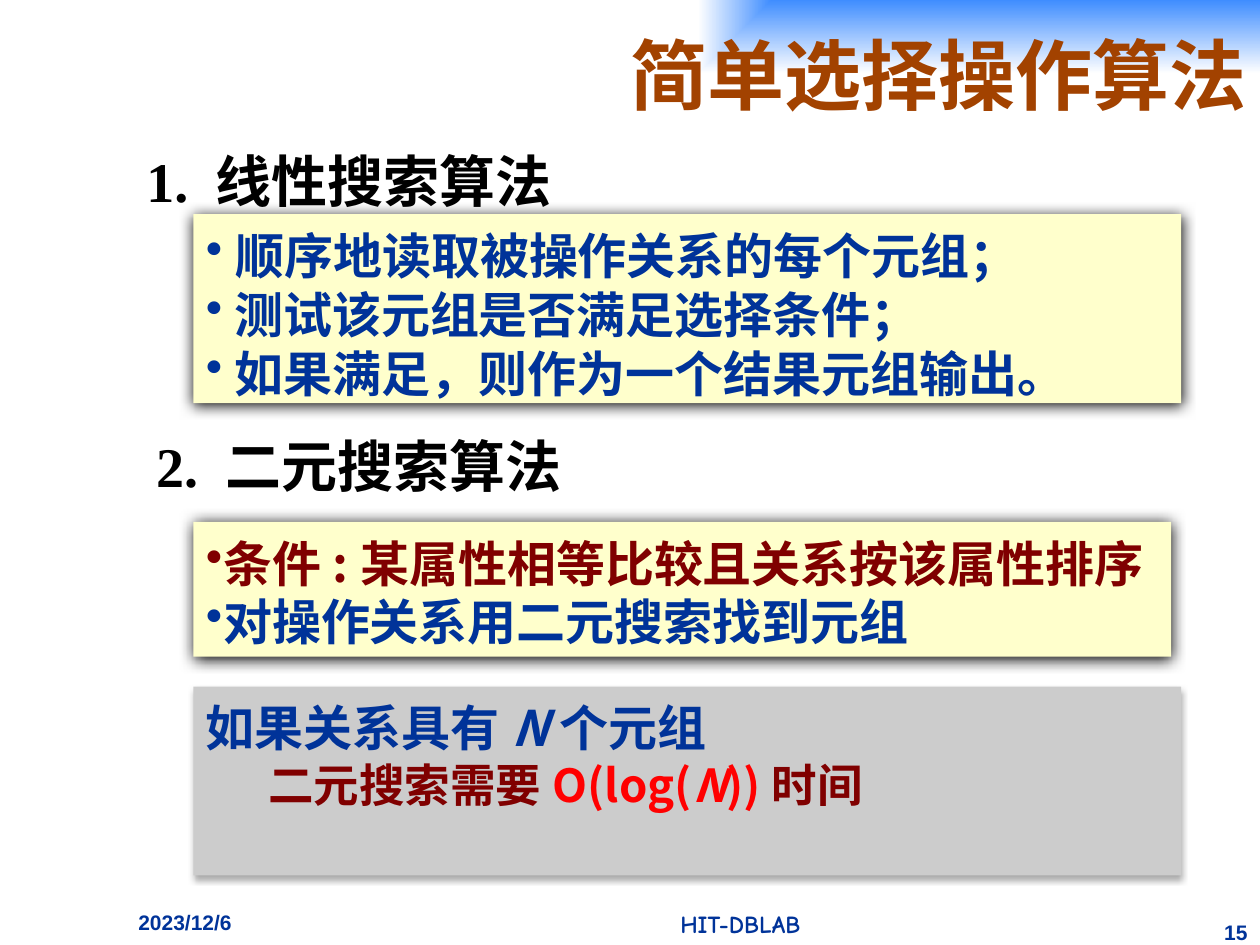
import pptx
import pptx.dml.color
import pptx.enum.shapes
import pptx.enum.text
import pptx.oxml
import pptx.oxml.ns
import pptx.util
from pptx.util import Cm

COLORS = {
    "sky": "3F8DFF", "white": "FFFFFF", "title": "A24200", "navy": "003399",
    "black": "000000", "cream": "FFFFCC", "gray": "CCCCCC",
    "maroon": "800000", "red": "FF0000",
}
CJK = "Noto Sans CJK JP"
SERIF = "Times New Roman"
ALIGN = pptx.enum.text.PP_ALIGN
LINE_FACTOR = 1.2


def rgb(name):
    """Return the named colour."""
    return pptx.dml.color.RGBColor.from_string(COLORS[name])


def drawing_xml(markup):
    """Parse one DrawingML element whose tag ends where %s stands."""
    return pptx.oxml.parse_xml(markup % pptx.oxml.ns.nsdecls("a"))


def add_run(paragraph, text, size, color, font=CJK, italic=False):
    """Add one bold run with the same Latin and East Asian font."""
    run = paragraph.add_run()
    run.text = text
    run.font.size = pptx.util.Pt(size)
    run.font.bold = True
    run.font.italic = italic
    run.font.color.rgb = rgb(color)
    run.font.name = font
    run._r.get_or_add_rPr().append(drawing_xml(f'<a:ea %s typeface="{font}"/>'))


def add_paragraph(frame, runs, size, margin=0, indent=0, bullet=False, align=ALIGN.LEFT):
    """Fill the first paragraph if it is empty, else a new one."""
    paragraph = frame.paragraphs[0]
    if paragraph.runs:
        paragraph = frame.add_paragraph()
    paragraph.alignment = align
    properties = paragraph._p.get_or_add_pPr()
    properties.set("marL", str(Cm(margin)))
    properties.set("indent", str(Cm(indent)))
    mark = '<a:buChar %s char="•"/>' if bullet else "<a:buNone %s/>"
    properties.append(drawing_xml(mark))
    for text, color, *style in runs:
        add_run(paragraph, text, size, color, *style)
    return paragraph


def set_line_height(paragraph, size):
    """Fix the line height in proportion to the text size."""
    paragraph.line_spacing = pptx.util.Pt(LINE_FACTOR * size)


def add_text_box(slide, box):
    """Add a wrapping text box and return its frame."""
    frame = slide.shapes.add_textbox(*map(Cm, box)).text_frame
    frame.word_wrap = True
    return frame


def add_rectangle(slide, box):
    """Add a borderless, shadowless rectangle with wrapping text."""
    shape = slide.shapes.add_shape(pptx.enum.shapes.MSO_SHAPE.RECTANGLE, *map(Cm, box))
    shape.shadow.inherit = False
    shape.line.fill.background()
    shape.text_frame.word_wrap = True
    return shape


def add_title(slide, box, text):
    """Place the title on a gradient that starts at the top right corner."""
    shape = add_rectangle(slide, box)
    shape.fill.gradient()
    for stop, position, color in zip(shape.fill.gradient_stops, (0, 1), ("sky", "white")):
        stop.position = position
        stop.color.rgb = rgb(color)
    linear = shape._element.spPr.find(".//" + pptx.oxml.ns.qn("a:lin"))
    linear.getparent().replace(linear, drawing_xml(
        '<a:path %s path="rect"><a:fillToRect l="100000" b="100000"/></a:path>'))
    shape.text_frame.vertical_anchor = pptx.enum.text.MSO_ANCHOR.MIDDLE
    add_paragraph(shape.text_frame, [(text, "title", "Noto Sans CJK SC")], 44, align=ALIGN.RIGHT)


def add_heading(slide, box, number, text):
    """Place a numbered heading."""
    frame = add_text_box(slide, box)
    frame.margin_top = Cm(0.23)
    runs = [(number, "black", SERIF), (text, "black")]
    set_line_height(add_paragraph(frame, runs, 32, 0.79, -0.79), 32)


def add_panel(slide, box, fill, shadow, paragraphs):
    """Place a filled panel with a downward shadow and its paragraphs."""
    shape = add_rectangle(slide, box)
    shape.fill.solid()
    shape.fill.fore_color.rgb = rgb(fill)
    alpha, blur, distance = shadow
    effects = shape._element.spPr.find(pptx.oxml.ns.qn("a:effectLst"))
    effects.append(drawing_xml(
        f'<a:outerShdw %s blurRad="{pptx.util.Pt(blur)}" dist="{pptx.util.Pt(distance)}" '
        f'dir="5400000" rotWithShape="0"><a:srgbClr val="{COLORS["black"]}">'
        f'<a:alpha val="{alpha * 1000}"/></a:srgbClr></a:outerShdw>'))
    frame = shape.text_frame
    frame.vertical_anchor = pptx.enum.text.MSO_ANCHOR.TOP
    frame.margin_top = Cm(0.23)
    for runs, size, layout in paragraphs:
        set_line_height(add_paragraph(frame, runs, size, **layout), size)


def add_footer(slide, top):
    """Place the date, the group name and the page number."""
    items = [
        ((2.54, top, 4.45, 0.84), "2023/12/6", 12, "Arial", ALIGN.LEFT),
        ((8.89, top, 12.07, 0.84), "HIT-DBLAB", 14, "Comic Neue", ALIGN.CENTER),
        ((24.33, top + 0.2, 1.07, 0.64), "15", 12, "Arial", ALIGN.RIGHT),
    ]
    for box, text, size, font, align in items:
        add_paragraph(add_text_box(slide, box), [(text, "navy", font)], size, align=align)


def main():
    """Build the slide and save it."""
    presentation = pptx.Presentation()
    presentation.slide_width, presentation.slide_height = Cm(25.4), Cm(19.05)
    slide = presentation.slides.add_slide(presentation.slide_layouts[6])
    bullet = {"bullet": True}
    strong, soft = (100, 8.5, 1), (32, 3.5, 2.2)
    left, width = 3.9, 19.91

    add_title(slide, (2.74, 0, 22.66, 2.97), "简单选择操作算法")
    add_footer(slide, 18.21)
    add_heading(slide, (2.7, 2.72, 11.2, 1.47), "1. ", "线性搜索算法")
    add_heading(slide, (2.9, 8.46, 13.2, 1.47), "2. ", "二元搜索算法")
    add_panel(slide, (left, 4.32, width, 3.81), "cream", strong, [
        ([(" ", "navy", SERIF), ("顺序地读取被操作关系的每个元组；", "navy")], 28, bullet),
        ([(" 测试该元组是否满足选择条件；", "navy")], 28, bullet),
        ([(" 如果满足，则作为一个结果元组输出。", "navy")], 28, bullet),
    ])
    add_panel(slide, (left, 10.52, 19.71, 2.72), "cream", strong, [
        ([("条件:某属性相等比较且关系按该属性排序", "maroon")], 28, bullet),
        ([("对操作关系用二元搜索找到元组", "navy")], 28, bullet),
    ])
    add_panel(slide, (left, 13.84, width, 3.81), "gray", soft, [
        ([("如果关系具有", "navy"), ("N", "navy", CJK, True), ("个元组", "navy")],
         28, {"margin": 0.64, "indent": -0.64}),
        ([("二元搜索需要", "maroon"), ("O(log(", "red"), ("N", "red", CJK, True),
          ("))", "red"), ("时间", "maroon")],
         26, {"margin": 1.9, "indent": -0.64}),
    ])
    presentation.save("out.pptx")


if __name__ == "__main__":
    main()
